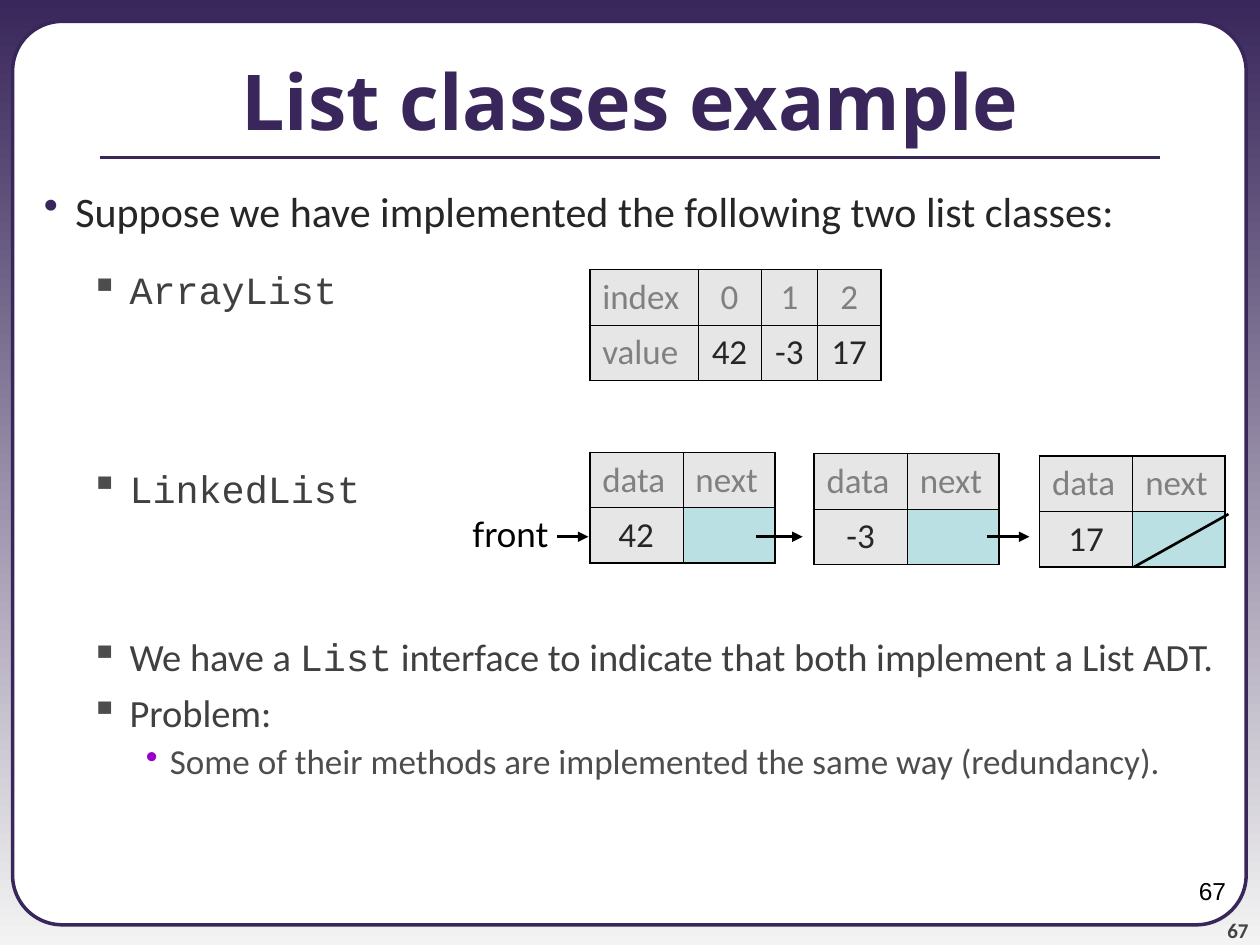
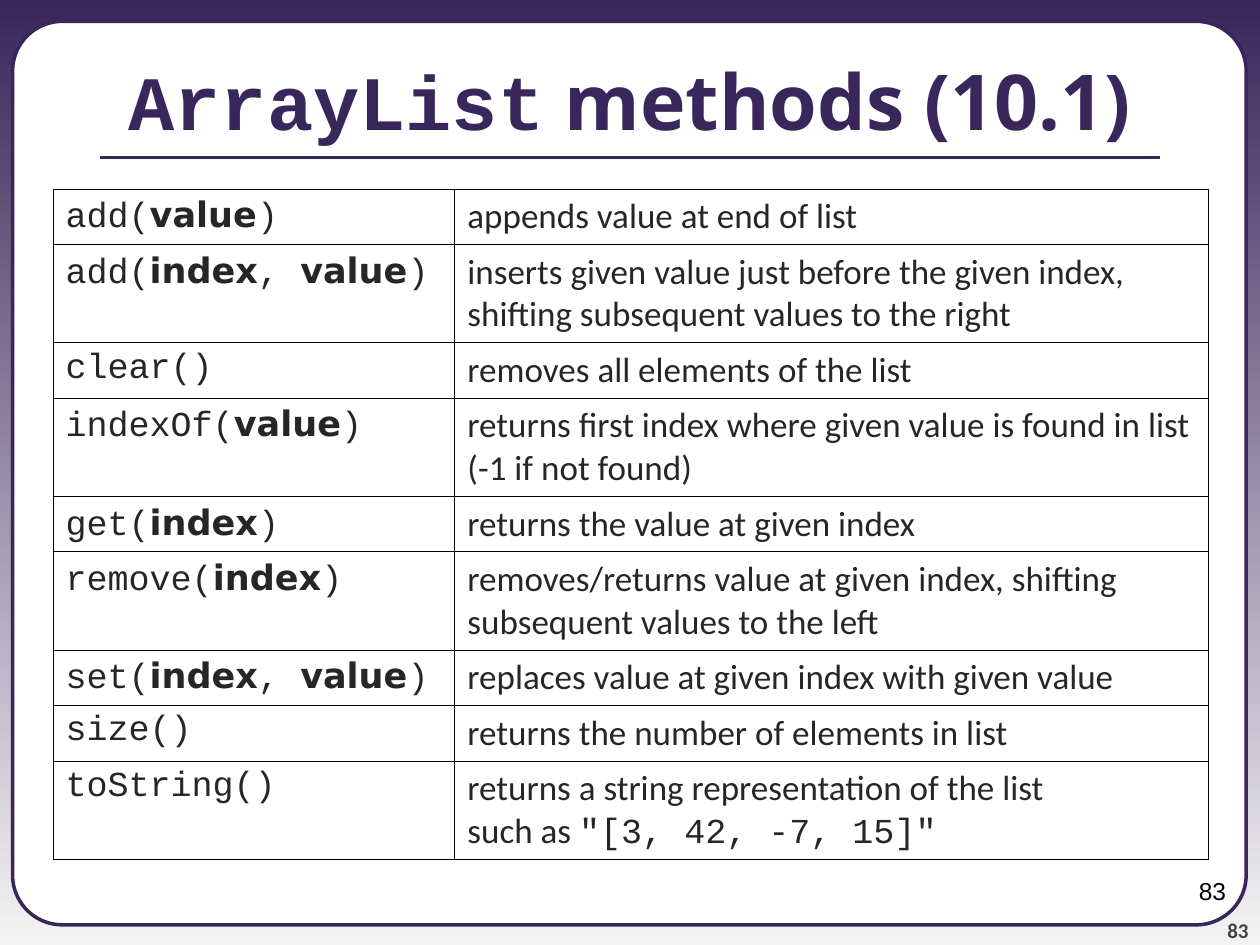
"""Build two lecture slides on list classes and the ArrayList methods."""
from lxml import etree
from pptx import Presentation
from pptx.dml.color import RGBColor
from pptx.enum.shapes import MSO_CONNECTOR, MSO_SHAPE
from pptx.enum.text import MSO_ANCHOR, PP_ALIGN
from pptx.oxml.ns import qn
from pptx.util import Inches, Pt

STRAIGHT = MSO_CONNECTOR.STRAIGHT
ROUNDED = MSO_SHAPE.ROUNDED_RECTANGLE
LEFT, CENTER, RIGHT = PP_ALIGN.LEFT, PP_ALIGN.CENTER, PP_ALIGN.RIGHT
TOP, MIDDLE, BOTTOM = MSO_ANCHOR.TOP, MSO_ANCHOR.MIDDLE, MSO_ANCHOR.BOTTOM

PURPLE, PALE, WHITE, BLACK = "39275B", "F3F3F3", "FFFFFF", "000000"
INK, MUTED, CELL, POINTER = "262626", "808080", "E6E6E6", "BBE0E3"
BODY, CODE, HEADING, ARGUMENT = "Calibri", "Courier New", "Noto Sans", "DejaVu Sans"
THIN, THICK = 0.45, 1.08
ROW, TALL_ROW = 0.44, 0.78

LEVELS = [
    {"bullet": "•", "bullet_color": PURPLE, "margin": 0.5, "hang": 0.25, "size": 24, "color": INK},
    {"bullet": "▪", "bullet_color": "4D4D4D", "margin": 0.93, "hang": 0.31, "size": 22, "color": "404040"},
    {"bullet": "•", "bullet_color": "9900CC", "margin": 1.25, "hang": 0.19, "size": 20, "color": "4D4D4D"},
]

EXAMPLE_TITLE = [("List classes example", HEADING)]
EXAMPLE_PAGE = "67"
EXAMPLE_POINTS = [
    (0, 0, [("Suppose we have implemented the following two list classes:", BODY)]),
    (1, 17.5, [("ArrayList", CODE)]),
    (1, 87, [("LinkedList", CODE)]),
    (1, 70, [("We have a ", BODY), ("List", CODE),
             (" interface to indicate that both implement a List ADT.", BODY)]),
    (1, 5.5, [("Problem:", BODY)]),
    (2, 5, [("Some of their methods are implemented the same way (redundancy).", BODY)]),
]
ARRAY_ROWS = [["index", "0", "1", "2"], ["value", "42", "-3", "17"]]
ARRAY_WIDTHS = [0.86, 0.5, 0.45, 0.5]
NODES = [("42", 4.68, 3.59), ("-3", 6.46, 3.6), ("17", 8.25, 3.62)]
NODE_WIDTHS = [0.74, 0.73]
POINTER_Y = 4.26
POINTER_SPANS = [(4.42, 4.67), (6, 6.37), (7.83, 8.17)]

METHODS_TITLE = [("ArrayList", CODE), (" methods (10.1)", HEADING)]
METHODS_PAGE = "83"
METHOD_WIDTHS = [3.19, 5.98]
METHODS = [
    ("add", ["value"], ROW, [[("appends value at end of list", BODY)]]),
    ("add", ["index", "value"], TALL_ROW,
     [[("inserts given value just before the given index, "
        "shifting subsequent values to the right", BODY)]]),
    ("clear", [], ROW, [[("removes all elements of the list", BODY)]]),
    ("indexOf", ["value"], TALL_ROW,
     [[("returns first index where given value is found in list (-1 if not found)", BODY)]]),
    ("get", ["index"], ROW, [[("returns the value at given index", BODY)]]),
    ("remove", ["index"], TALL_ROW,
     [[("removes/returns value at given index, shifting subsequent values to the left", BODY)]]),
    ("set", ["index", "value"], ROW, [[("replaces value at given index with given value", BODY)]]),
    ("size", [], ROW, [[("returns the number of elements in list", BODY)]]),
    ("toString", [], TALL_ROW,
     [[("returns a string representation of the list", BODY)],
      [("such as ", BODY), ('"[3, 42, -7, 15]"', CODE)]]),
]


def rgb(color):
    return RGBColor.from_string(color)


def assign(target, values):
    for name, value in values.items():
        setattr(target, name, value)


def write(paragraph, runs, size, color, bold=False, align=LEFT):
    paragraph.alignment = align
    for text, font_name in runs:
        run = paragraph.add_run()
        run.text = text
        assign(run.font, {"name": font_name, "size": Pt(size),
                          "bold": bold or font_name == ARGUMENT})
        run.font.color.rgb = rgb(color)


def add_text(slide, box, runs, size, color, inset=(0.1, 0.05), anchor=TOP, wrap=True, **style):
    frame = slide.shapes.add_textbox(*map(Inches, box)).text_frame
    across, down = map(Inches, inset)
    assign(frame, {"word_wrap": wrap, "vertical_anchor": anchor,
                   "margin_left": across, "margin_right": across,
                   "margin_top": down, "margin_bottom": down})
    write(frame.paragraphs[0], runs, size, color, **style)
    return frame


def add_line(slide, start, end, color, width, arrow=False):
    line = slide.shapes.add_connector(STRAIGHT, *map(Inches, (*start, *end)))
    line.line.color.rgb = rgb(color)
    line.line.width = Pt(width)
    if arrow:
        etree.SubElement(line.line._get_or_add_ln(), qn("a:tailEnd"), type="triangle")
    etree.SubElement(line.element.spPr, qn("a:effectLst"))


def add_slide(deck, title_runs, page):
    slide = deck.slides.add_slide(deck.slide_layouts[5])
    background = slide.background.fill
    background.gradient()
    background.gradient_angle = 270
    for stop, color, position in zip(background.gradient_stops, (PURPLE, PALE), (0, 1)):
        stop.color.rgb = rgb(color)
        stop.position = position

    panel = slide.shapes.add_shape(ROUNDED, *map(Inches, (0.1, 0.17, 9.79, 7.17)))
    panel.adjustments[0] = 0.055
    panel.shadow.inherit = False
    panel.fill.solid()
    panel.fill.fore_color.rgb = rgb(WHITE)
    panel.line.color.rgb = rgb(PURPLE)
    panel.line.width = Pt(2)

    add_text(slide, (9.08, 7.08, 0.83, 0.4), [(page, BODY)], 12, "424242",
             inset=(0, 0), anchor=BOTTOM, bold=True, align=RIGHT)
    add_line(slide, (0.79, 1.25), (9.21, 1.25), PURPLE, 2.25)

    title = slide.shapes.title
    panel.element.getparent().append(title.element)
    assign(title, {"left": 0, "top": Inches(0.17), "width": Inches(10), "height": Inches(1.25)})
    assign(title.text_frame, {"vertical_anchor": MIDDLE, "word_wrap": True})
    write(title.text_frame.paragraphs[0], title_runs, 44, PURPLE, bold=True, align=CENTER)

    add_text(slide, (7.5, 6.9, 2.33, 0.52), [(page, "Arial")], 14, BLACK, align=RIGHT)
    return slide


def add_points(slide, points):
    frame = None
    for level, gap, runs in points:
        look = LEVELS[level]
        if frame is None:
            frame = add_text(slide, (0, 1.42, 10, 6.08), runs, look["size"], look["color"])
            paragraph = frame.paragraphs[0]
        else:
            paragraph = frame.add_paragraph()
            write(paragraph, runs, look["size"], look["color"])
            paragraph.space_before = Pt(gap)
        if level == 2:
            paragraph.line_spacing = 0.9
        paragraph.level = level
        properties = paragraph._p.get_or_add_pPr()
        properties.set("marL", str(Inches(look["margin"])))
        properties.set("indent", str(-Inches(look["hang"])))
        bullet_color = etree.SubElement(properties, qn("a:buClr"))
        etree.SubElement(bullet_color, qn("a:srgbClr"), val=look["bullet_color"])
        etree.SubElement(properties, qn("a:buChar"), char=look["bullet"])


def add_grid(slide, left, top, widths, heights, outline=THIN):
    """Add a table with thin inner rules and return it."""
    box = map(Inches, (left, top, sum(widths), sum(heights)))
    table = slide.shapes.add_table(len(heights), len(widths), *box).table
    assign(table, {"first_row": False, "horz_banding": False})
    for column, width in zip(table.columns, widths):
        column.width = Inches(width)
    for row, height in zip(table.rows, heights):
        row.height = Inches(height)
    last_row, last_column = len(heights) - 1, len(widths) - 1
    for r, row in enumerate(table.rows):
        for c, cell in enumerate(row.cells):
            properties = cell._tc.get_or_add_tcPr()
            edges = {"L": c == 0, "R": c == last_column, "T": r == 0, "B": r == last_row}
            for side, outer in edges.items():
                width = Pt(outline if outer else THIN)
                border = etree.SubElement(properties, qn(f"a:ln{side}"), w=str(width))
                fill = etree.SubElement(border, qn("a:solidFill"))
                etree.SubElement(fill, qn("a:srgbClr"), val=BLACK)
            cell.fill.background()
    return table


def add_diagram(slide, left, top, widths, rows, centered):
    """Draw a labelled two-row box; an empty entry is a pointer cell."""
    table = add_grid(slide, left, top, widths, [ROW] * len(rows), THICK)
    for r, texts in enumerate(rows):
        for c, text in enumerate(texts):
            cell = table.cell(r, c)
            cell.fill.solid()
            cell.fill.fore_color.rgb = rgb(CELL if text else POINTER)
            if text:
                write(cell.text_frame.paragraphs[0], [(text, BODY)], 20,
                      INK if r and text != "value" else MUTED,
                      align=CENTER if centered(r, c) else LEFT)


def signature(name, arguments):
    runs = [(name + "(", CODE)]
    for i, argument in enumerate(arguments):
        if i:
            runs.append((", ", CODE))
        runs.append((argument, ARGUMENT))
    return runs + [(")", CODE)] if arguments else [(name + "()", CODE)]


def build_example(deck):
    slide = add_slide(deck, EXAMPLE_TITLE, EXAMPLE_PAGE)
    add_points(slide, EXAMPLE_POINTS)
    add_diagram(slide, 4.68, 2.14, ARRAY_WIDTHS, ARRAY_ROWS, lambda r, c: c > 0)
    add_text(slide, (3.6, 4.02, 0.85, 0.44), [("front", "Lato")], 20, BLACK,
             wrap=False, align=RIGHT)
    for value, left, top in NODES:
        add_diagram(slide, left, top, NODE_WIDTHS, [["data", "next"], [value, ""]],
                    lambda r, c: r > 0)
    for start, end in POINTER_SPANS:
        add_line(slide, (start, POINTER_Y), (end, POINTER_Y), BLACK, 1.5, arrow=True)
    add_line(slide, (9.75, 4.08), (9, 4.5), BLACK, 1.5)


def build_methods(deck):
    slide = add_slide(deck, METHODS_TITLE, METHODS_PAGE)
    heights = [height for _, _, height, _ in METHODS]
    table = add_grid(slide, 0.42, 1.5, METHOD_WIDTHS, heights)
    for row, (name, arguments, _, description) in zip(table.rows, METHODS):
        call, effect = row.cells
        write(call.text_frame.paragraphs[0], signature(name, arguments), 20, INK)
        for i, runs in enumerate(description):
            frame = effect.text_frame
            write(frame.add_paragraph() if i else frame.paragraphs[0], runs, 20, INK)


def main():
    deck = Presentation()
    assign(deck, {"slide_width": Inches(10), "slide_height": Inches(7.5)})
    build_example(deck)
    build_methods(deck)
    deck.save("out.pptx")


if __name__ == "__main__":
    main()
